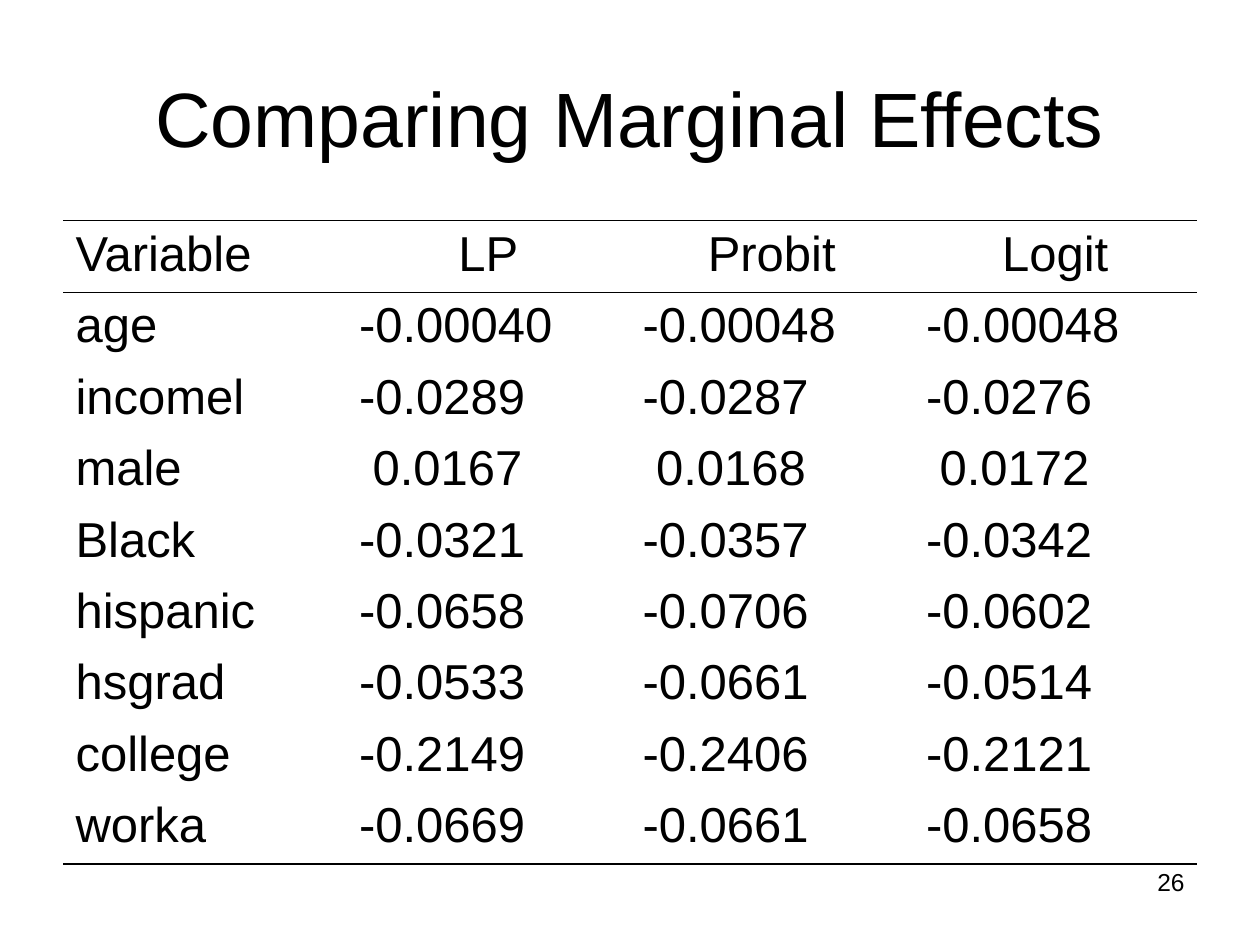
from pptx import Presentation
from pptx.dml.color import RGBColor as Rgb
from pptx.enum.text import MSO_ANCHOR as Anchor, PP_ALIGN as Align
from pptx.oxml.ns import qn
from pptx.util import Pt
from lxml.etree import SubElement as Sub

INK = "000000"
THICK, THIN = 1.08, 0.45
HEAD = ["Variable", "LP", "Probit", "Logit"]
ROWS = [
    ["age", "-0.00040", "-0.00048", "-0.00048"],
    ["incomel", "-0.0289", "-0.0287", "-0.0276"],
    ["male", " 0.0167", " 0.0168", " 0.0172"],
    ["Black", "-0.0321", "-0.0357", "-0.0342"],
    ["hispanic", "-0.0658", "-0.0706", "-0.0602"],
    ["hsgrad", "-0.0533", "-0.0661", "-0.0514"],
    ["college", "-0.2149", "-0.2406", "-0.2121"],
    ["worka", "-0.0669", "-0.0661", "-0.0658"],
]


def color(code):
    return Rgb.from_string(code)


def style(obj, form):
    for name, val in form.items():
        setattr(obj, name, val)


def write(frame, text, size, form):
    para = frame.paragraphs[0]
    style(para, form)
    run = para.add_run()
    run.text = text
    style(run.font, {"name": "Arial", "size": Pt(size)})
    run.font.color.rgb = color(INK)


def add_text(slide, box, text, size, align, anchor):
    frame = slide.shapes.add_textbox(*map(Pt, box)).text_frame
    style(frame, {"word_wrap": True, "vertical_anchor": anchor})
    write(frame, text, size, {"alignment": align})


def add_title(slide, box):
    add_text(slide, box, "Comparing Marginal Effects", 44, Align.CENTER, Anchor.MIDDLE)


def add_number(slide, box):
    add_text(slide, box, "26", 14, Align.RIGHT, Anchor.TOP)


def rule(cell, top, base):
    props = cell._tc.get_or_add_tcPr()
    for side, width in zip("LRTB", (0, 0, top, base)):
        line = Sub(props, qn(f"a:ln{side}"), w=str(int(Pt(width))))
        if width:
            fill = Sub(line, qn("a:solidFill"))
            Sub(fill, qn("a:srgbClr"), val=INK)
        else:
            Sub(line, qn("a:noFill"))


def add_grid(slide, box):
    data = [HEAD] + ROWS
    edges = [THICK, THIN] + [0] * (len(data) - 2) + [THICK]
    grid = slide.shapes.add_table(len(data), len(HEAD), *map(Pt, box)).table
    style(grid, {"first_row": False, "horz_banding": False})
    for col in grid.columns:
        col.width = Pt(box[2] / len(HEAD))
    for r, line in enumerate(data):
        grid.rows[r].height = Pt(box[3] / len(data))
        for c, text in enumerate(line):
            cell = grid.cell(r, c)
            rule(cell, edges[r], edges[r + 1])
            cell.fill.background()
            align = Align.CENTER if r == 0 and c else Align.LEFT
            form = {"alignment": align, "space_before": Pt(7)}
            write(cell.text_frame, text, 28, form)


def main():
    deck = Presentation()
    style(deck, {"slide_width": Pt(720), "slide_height": Pt(540)})
    slide = deck.slides.add_slide(deck.slide_layouts[6])
    add_number(slide, (516, 492, 168, 37.5))
    add_title(slide, (36, 21.6, 648, 90))
    add_grid(slide, (36, 126, 648, 367.2))
    deck.save("out.pptx")


if __name__ == "__main__":
    main()
